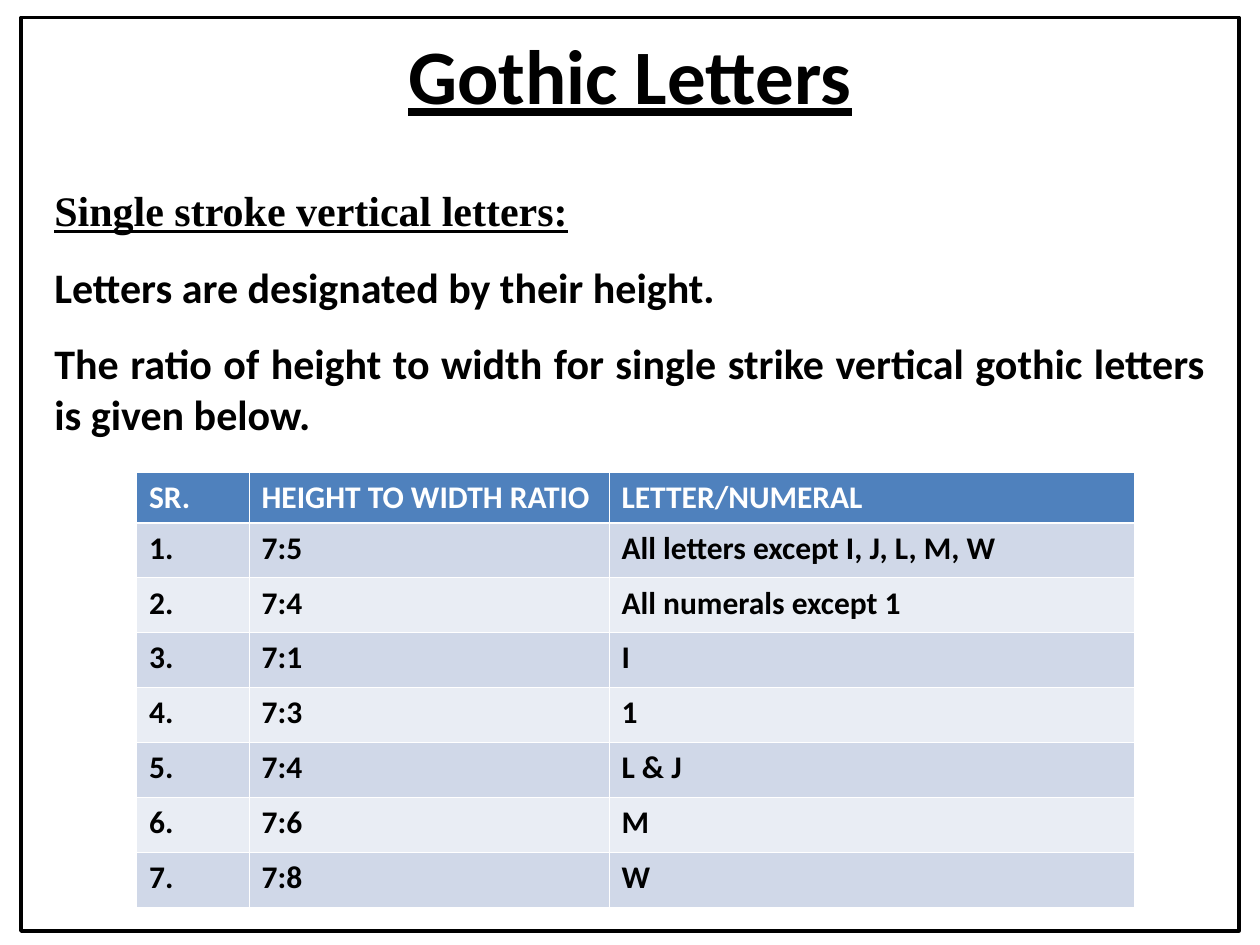
from dataclasses import dataclass

from lxml.etree import SubElement
from pptx import Presentation
from pptx.dml.color import RGBColor
from pptx.enum.shapes import MSO_SHAPE
from pptx.enum.text import MSO_ANCHOR, PP_ALIGN
from pptx.oxml.ns import qn
from pptx.util import Pt


@dataclass(frozen=True)
class Theme:
    ink: str = "000000"
    white: str = "FFFFFF"
    head: str = "4F81BD"
    bands: tuple = ("D0D8E8", "E9EDF4")
    sans: str = "Calibri"
    serif: str = "Times New Roman"
    title: int = 44
    body: int = 24
    cell: int = 18
    thin: float = 0.45
    thick: float = 1.47


THEME = Theme()
ROWS = [
    ("SR.", "HEIGHT TO WIDTH RATIO", "LETTER/NUMERAL"),
    ("1.", "7:5", "All letters except I, J, L, M, W"),
    ("2.", "7:4", "All numerals except 1"),
    ("3.", "7:1", "I"),
    ("4.", "7:3", "1"),
    ("5.", "7:4", "L & J"),
    ("6.", "7:6", "M"),
    ("7.", "7:8", "W"),
]


def pts(box):
    return [Pt(n) for n in box]


def style(para, size, color=THEME.ink, face=THEME.sans, under=None):
    font = para.font
    font.name, font.size, font.bold = face, Pt(size), True
    font.underline = under
    font.color.rgb = RGBColor.from_string(color)


def add_frame(slide, box):
    frame = slide.shapes.add_shape(MSO_SHAPE.RECTANGLE, *pts(box))
    frame.shadow.inherit = False
    frame.fill.background()
    frame.line.color.rgb = RGBColor.from_string(THEME.ink)
    frame.line.width = Pt(2)


def add_title(slide, box, text):
    area = slide.shapes.add_textbox(*pts(box)).text_frame
    area.word_wrap = True
    area.vertical_anchor = MSO_ANCHOR.MIDDLE
    para = area.paragraphs[0]
    para.text = text
    para.alignment = PP_ALIGN.CENTER
    style(para, THEME.title, under=True)


def add_body(slide, box, head, lines):
    area = slide.shapes.add_textbox(*pts(box)).text_frame
    area.word_wrap = True
    area.text = "\n".join([head, *lines])
    for para in area.paragraphs:
        para.alignment = PP_ALIGN.JUSTIFY
        para.space_before = Pt(15)
        style(para, THEME.body)
    style(area.paragraphs[0], THEME.body, face=THEME.serif, under=True)


def set_edges(cell, row):
    """Draw white cell borders, thick between header and body."""
    props = cell._tc.get_or_add_tcPr()
    heavy = {("B", 0), ("T", 1)}
    for spot, side in enumerate("LRTB"):
        width = THEME.thick if (side, row) in heavy else THEME.thin
        edge = SubElement(props, qn(f"a:ln{side}"), w=str(int(Pt(width))))
        fill = SubElement(edge, qn("a:solidFill"))
        SubElement(fill, qn("a:srgbClr"), val=THEME.white)
        props.insert(spot, edge)


def add_ratios(slide, box, rows, widths, top):
    table = slide.shapes.add_table(len(rows), len(widths), *pts(box)).table
    for col, width in zip(table.columns, widths):
        col.width = Pt(width)
    rest = (box[3] - top) / (len(rows) - 1)
    for r, texts in enumerate(rows):
        table.rows[r].height = Pt(rest if r else top)
        shade = THEME.bands[(r - 1) % 2] if r else THEME.head
        for c, text in enumerate(texts):
            cell = table.cell(r, c)
            cell.text = text
            cell.fill.solid()
            cell.fill.fore_color.rgb = RGBColor.from_string(shade)
            set_edges(cell, r)
            style(cell.text_frame.paragraphs[0], THEME.cell,
                  THEME.ink if r else THEME.white)


def main():
    deck = Presentation()
    deck.slide_width, deck.slide_height = Pt(720), Pt(540)
    slide = deck.slides.add_slide(deck.slide_layouts[6])

    # Border and heading
    add_frame(slide, (12, 10, 696, 522))
    add_title(slide, (14, 12, 692, 60), "Gothic Letters")

    # Explanation
    add_body(slide, (24, 102, 672, 153), "Single stroke vertical letters:", [
        "Letters are designated by their height.",
        "The ratio of height to width for single strike vertical gothic "
        "letters is given below.",
    ])

    # Ratio table
    add_ratios(slide, (78, 270, 570, 248.4), ROWS, (64.3, 205.7, 300), 28.8)
    deck.save("out.pptx")


if __name__ == "__main__":
    main()
